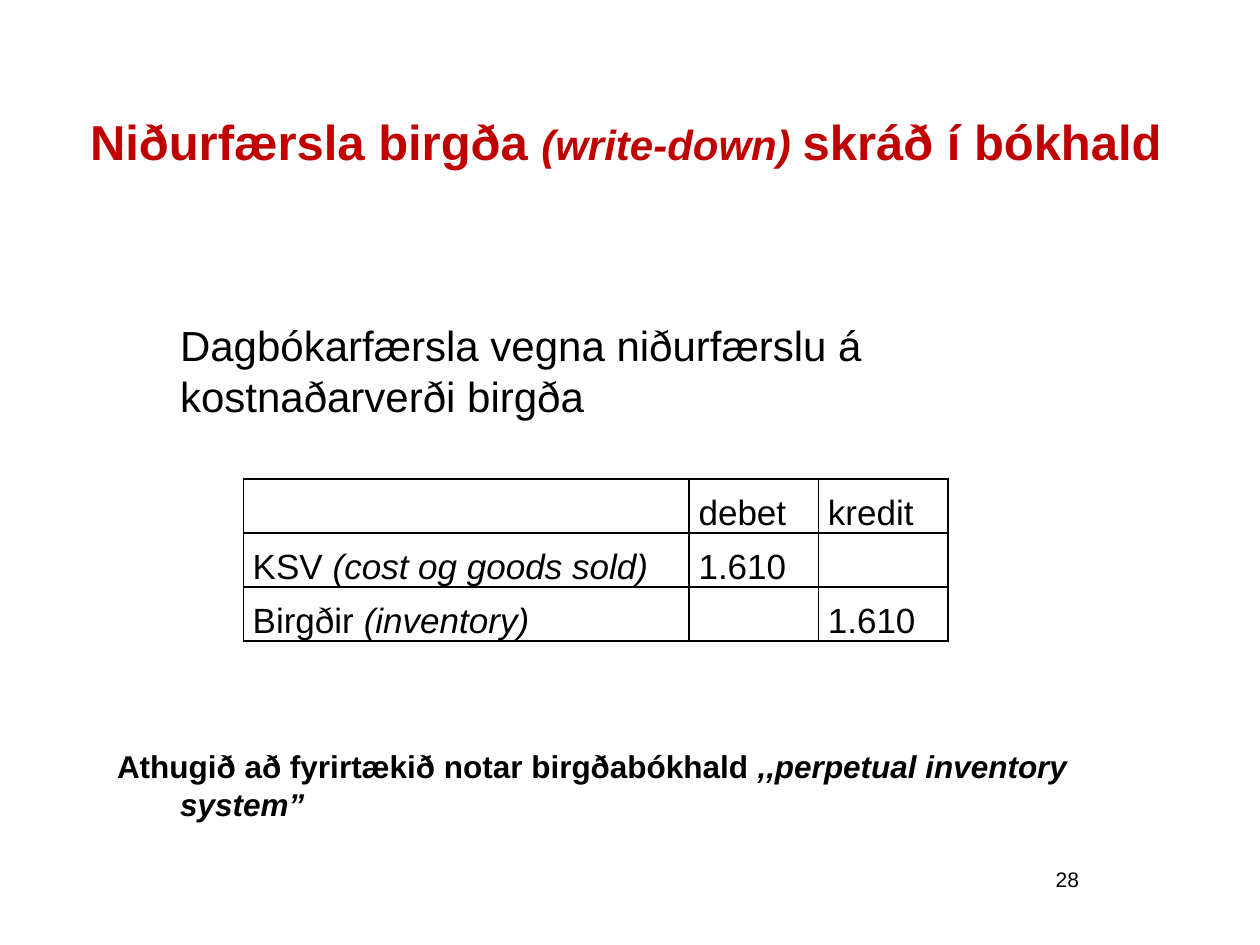
from dataclasses import dataclass

from lxml import etree
from pptx import Presentation
from pptx import util as u
from pptx.dml.color import RGBColor
from pptx.enum import text
from pptx.oxml.ns import qn

Pt = u.Pt


@dataclass(frozen=True)
class Theme:
    font: str = "Arial"
    ink: str = "000000"
    accent: str = "C00000"
    title: int = 28
    body: int = 24
    table: int = 20
    note: int = 18
    number: int = 12


theme = Theme()


def add_run(paragraph, words, size, color=theme.ink, bold=False, italic=False):
    run = paragraph.add_run()
    run.text = words
    font = run.font
    font.name, font.size = theme.font, Pt(size)
    font.bold, font.italic = bold, italic
    font.color.rgb = RGBColor.from_string(color)


def add_text(left, top, width, height, margin=0, indent=0):
    """Add a wrapping text box and return its frame and first paragraph."""
    frame = slide.shapes.add_textbox(Pt(left), Pt(top), Pt(width), Pt(height)).text_frame
    frame.word_wrap = True
    paragraph = frame.paragraphs[0]
    properties = paragraph._p.get_or_add_pPr()
    properties.set("marL", str(Pt(margin)))
    properties.set("indent", str(Pt(indent)))
    return frame, paragraph


presentation = Presentation()
presentation.slide_width, presentation.slide_height = Pt(720), Pt(540)
slide = presentation.slides.add_slide(presentation.slide_layouts[6])

# Page number
frame, paragraph = add_text(473.8, 491.8, 149.8, 36)
paragraph.alignment = text.PP_ALIGN.RIGHT
add_run(paragraph, "28", theme.number)

# Title
frame, paragraph = add_text(42.5, 50.4, 635, 60.5)
frame.vertical_anchor = text.MSO_ANCHOR.MIDDLE
paragraph.alignment = text.PP_ALIGN.RIGHT
for words, size, italic in [
    ("Niðurfærsla birgða ", theme.title, False),
    ("(write-down) ", theme.body, True),
    ("skráð í bókhald", theme.title, False),
    (" ", theme.body, True),
]:
    add_run(paragraph, words, size, theme.accent, bold=True, italic=italic)

# Introduction
frame, paragraph = add_text(59.8, 179.3, 561.6, 65.5, margin=36)
add_run(paragraph, "Dagbókarfærsla vegna niðurfærslu á kostnaðarverði birgða", theme.body)

# Journal entry: each cell is a pair of upright and italic words
entries = [
    [("", ""), ("debet", ""), ("kredit", "")],
    [("KSV ", "(cost og goods sold)"), ("1.610", ""), ("", "")],
    [("Birgðir ", "(inventory)"), ("", ""), ("1.610", "")],
]
column_widths = [254.8, 73.9, 73.9]
row_height = 30.9
table = slide.shapes.add_table(
    len(entries), len(column_widths), Pt(139), Pt(273.6),
    Pt(sum(column_widths)), Pt(row_height * len(entries))).table
table.first_row = table.horz_banding = False
for column, width in zip(table.columns, column_widths):
    column.width = Pt(width)

for row, entry in zip(table.rows, entries):
    row.height = Pt(row_height)
    for cell, (upright, italic) in zip(row.cells, entry):
        cell.margin_left = cell.margin_right = Pt(5.4)
        cell.margin_top = cell.margin_bottom = 0
        cell.vertical_anchor = text.MSO_ANCHOR.BOTTOM
        paragraph = cell.text_frame.paragraphs[0]
        paragraph.line_spacing = 1.15
        if upright:
            add_run(paragraph, upright, theme.table)
        if italic:
            add_run(paragraph, italic, theme.table, italic=True)
        properties = cell._tc.get_or_add_tcPr()
        for side in ("a:lnL", "a:lnR", "a:lnT", "a:lnB"):
            line = etree.SubElement(properties, qn(side), w=str(Pt(1)))
            fill = etree.SubElement(line, qn("a:solidFill"))
            etree.SubElement(fill, qn("a:srgbClr"), val=theme.ink)
        cell.fill.background()

# Note on the inventory system
frame, paragraph = add_text(59.8, 423.4, 607.7, 51.1, margin=36, indent=-36)
add_run(paragraph, "Athugið að fyrirtækið notar birgðabókhald ", theme.note, bold=True)
add_run(paragraph, ",,perpetual inventory system”", theme.note, bold=True, italic=True)

presentation.save("out.pptx")
